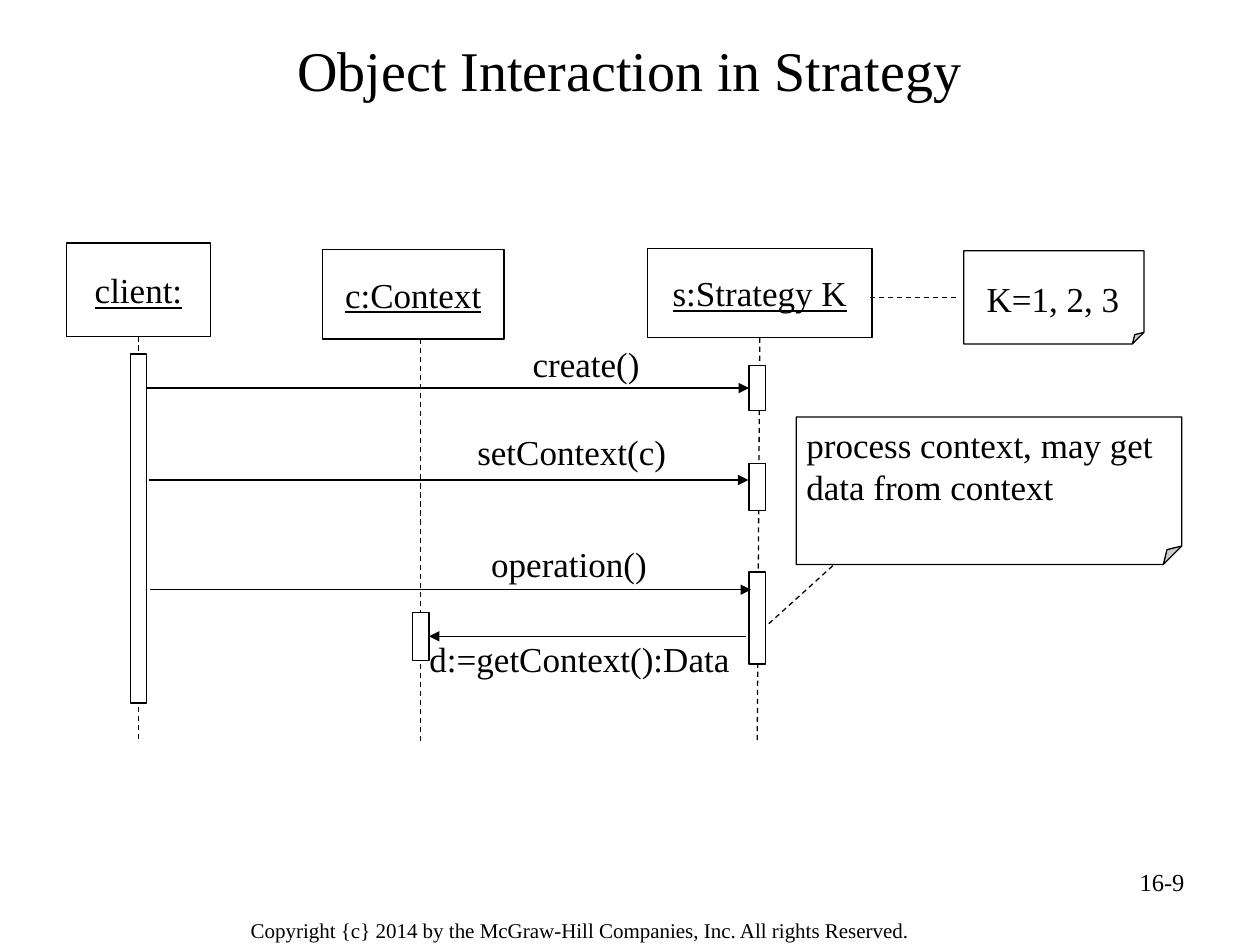
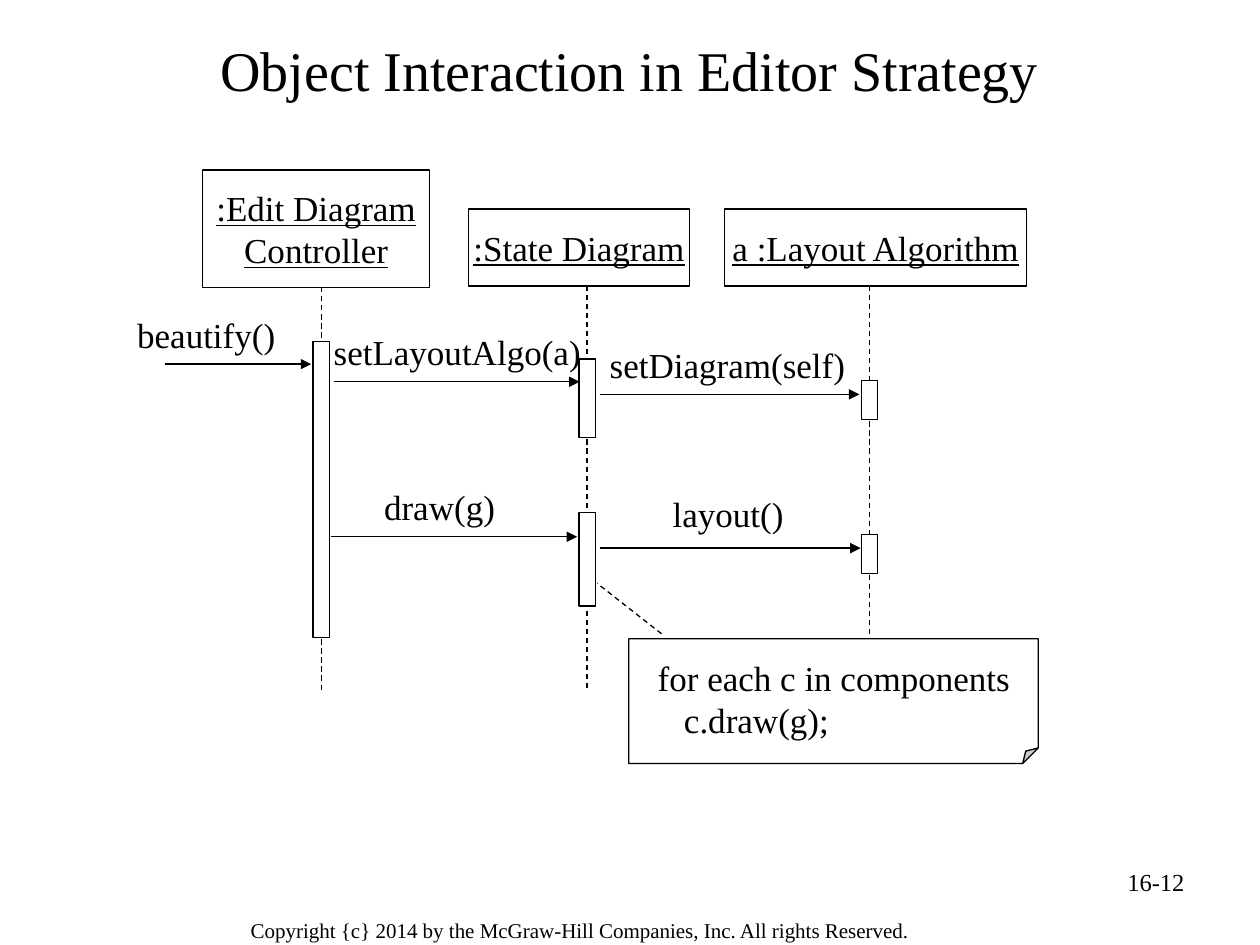
import math
from dataclasses import dataclass

import lxml.etree
import pptx
import pptx.dml.color
import pptx.enum.dml
import pptx.enum.shapes
import pptx.enum.text
import pptx.oxml.ns
import pptx.util

SLIDE_W, SLIDE_H = pptx.util.Inches(10), pptx.util.Inches(7.5)
COLS, ROWS = 100, 75
COLORS = {"ink": "000000", "paper": "FFFFFF"}
FONT = "Times New Roman"
TITLE_PT, BODY_PT, NUMBER_PT, FOOTER_PT = 32, 20, 14, 12
LINE_PT = 0.75
BAR_COLS = 1.3
FOLD = 12500  # folded corner, in 1/100000 of the shorter side
JOIN_REACH = 0.3  # cells within which a line end snaps to a side's middle
COPYRIGHT = "Copyright {c} 2014 by the McGraw-Hill Companies, Inc. All rights Reserved."

ALIGN = pptx.enum.text.PP_ALIGN
ANCHOR = pptx.enum.text.MSO_ANCHOR
SHAPE = pptx.enum.shapes.MSO_SHAPE


@dataclass
class Box:
    """A rectangle in grid columns and rows."""
    col: float
    row: float
    cols: float
    rows: float

    def emu(self) -> tuple[int, int, int, int]:
        return x(self.col), y(self.row), x(self.cols), y(self.rows)


@dataclass
class Lifeline:
    name: str
    head: Box
    col: float
    bars: list[tuple[float, float]]  # top row and height in rows


@dataclass
class Message:
    text: str
    label: Box
    start: float
    end: float
    row: float


@dataclass
class Note:
    text: str
    box: Box
    indent: tuple[float, float]  # columns from the left, rows from the top
    link: tuple[float, float, float, float]


@dataclass
class Diagram:
    title: str
    number: str
    bottom: float
    lifelines: list[Lifeline]
    messages: list[Message]
    notes: list[Note]


def x(cols: float) -> int:
    return round(cols * SLIDE_W / COLS)


def y(rows: float) -> int:
    return round(rows * SLIDE_H / ROWS)


def qn(tag: str) -> str:
    return pptx.oxml.ns.qn(tag)


def color(name: str) -> pptx.dml.color.RGBColor:
    return pptx.dml.color.RGBColor.from_string(COLORS[name])


def write(shape, text: str, size: int = BODY_PT, align=ALIGN.LEFT, anchor=ANCHOR.TOP,
          underline: bool = False, margins: tuple[float, float] | None = None) -> None:
    """Fill a shape with text; margins are the left and top insets in cells."""
    tf = shape.text_frame
    tf.word_wrap = True
    tf.vertical_anchor = anchor
    if margins:
        tf.margin_left, tf.margin_top = x(margins[0]), y(margins[1])
        tf.margin_right = tf.margin_bottom = 0
    tf.text = text
    for p in tf.paragraphs:
        p.alignment = align
        p.font.name = FONT
        p.font.size = pptx.util.Pt(size)
        p.font.underline = underline
        p.font.color.rgb = color("ink")


def add_label(s, box: Box, text: str, **style) -> None:
    write(s.shapes.add_textbox(*box.emu()), text, **style)


def add_outline(s, box: Box, kind=SHAPE.RECTANGLE):
    sp = s.shapes.add_shape(kind, *box.emu())
    sp.shadow.inherit = False
    sp.fill.solid()
    sp.fill.fore_color.rgb = color("paper")
    sp.line.color.rgb = color("ink")
    sp.line.width = pptx.util.Pt(LINE_PT)
    return sp


def side_middles(sp) -> list[tuple[float, float]]:
    """Connection points in the order top, left, bottom, right."""
    mid_x, mid_y = sp.left + sp.width / 2, sp.top + sp.height / 2
    return [(mid_x, sp.top), (sp.left, mid_y),
            (mid_x, sp.top + sp.height), (sp.left + sp.width, mid_y)]


def add_line(s, start: tuple[float, float], end: tuple[float, float],
             rects: list, arrow: bool = False) -> None:
    """Draw an arrow or a dashed line, joined to any rectangle it meets mid-side."""
    ends = [(x(col), y(row)) for col, row in (start, end)]
    line = s.shapes.add_connector(pptx.enum.shapes.MSO_CONNECTOR.STRAIGHT, *ends[0], *ends[1])
    line.line.color.rgb = color("ink")
    line.line.width = pptx.util.Pt(LINE_PT)
    sp_pr = line._element.spPr
    if arrow:
        lxml.etree.SubElement(sp_pr.find(qn("a:ln")), qn("a:tailEnd"), type="triangle")
    else:
        line.line.dash_style = pptx.enum.dml.MSO_LINE.DASH
    lxml.etree.SubElement(sp_pr, qn("a:effectLst"))
    for point, connect in zip(ends, (line.begin_connect, line.end_connect)):
        for sp in rects:
            for site, middle in enumerate(side_middles(sp)):
                if math.dist(point, middle) < x(JOIN_REACH):
                    connect(sp, site)


def add_frame(s, diagram: Diagram) -> None:
    """Title, slide number and copyright line."""
    add_label(s, Box(18.8, 72.2, 61.9, 3.1), COPYRIGHT, size=FOOTER_PT, margins=(1.1, 0.6))
    add_label(s, Box(71.7, 68.3, 23.3, 5.2), diagram.number, size=NUMBER_PT, align=ALIGN.RIGHT)
    add_label(s, Box(5, 1.7, 90, 7.5), diagram.title, size=TITLE_PT,
              align=ALIGN.CENTER, anchor=ANCHOR.MIDDLE)


def add_lifeline(s, lifeline: Lifeline, bottom: float) -> list:
    """Draw head, dashed line and activation bars; return the rectangles."""
    head = add_outline(s, lifeline.head)
    write(head, lifeline.name, align=ALIGN.CENTER, anchor=ANCHOR.MIDDLE,
          underline=True, margins=(0, 0))
    top = lifeline.head.row + lifeline.head.rows
    add_line(s, (lifeline.col, top), (lifeline.col, bottom), [head])
    left = lifeline.col - BAR_COLS / 2
    return [head] + [add_outline(s, Box(left, row, BAR_COLS, rows))
                     for row, rows in lifeline.bars]


def add_note(s, note: Note, rects: list) -> None:
    sp = add_outline(s, note.box, SHAPE.FOLDED_CORNER)
    guides = sp._element.spPr.find(qn("a:prstGeom")).find(qn("a:avLst"))
    lxml.etree.SubElement(guides, qn("a:gd"), name="adj", fmla=f"val {FOLD}")
    write(sp, note.text, margins=note.indent)
    add_line(s, note.link[:2], note.link[2:], rects)


def add_diagram(prs, diagram: Diagram) -> None:
    s = prs.slides.add_slide(prs.slide_layouts[6])
    add_frame(s, diagram)
    rects = []
    for lifeline in diagram.lifelines:
        rects += add_lifeline(s, lifeline, diagram.bottom)
    for note in diagram.notes:
        add_note(s, note, rects)
    for m in diagram.messages:
        add_line(s, (m.start, m.row), (m.end, m.row), rects, arrow=True)
        add_label(s, m.label, m.text)


DIAGRAMS = [
    Diagram(
        "Object Interaction in Strategy", "16-9", 58.8,
        [
            Lifeline("client:", Box(5.3, 19.3, 11.4, 7.4), 11, [(28.1, 27.7)]),
            Lifeline("c:Context", Box(25.6, 19.8, 14.4, 7.1), 33.4, [(48.6, 3.8)]),
            Lifeline("s:Strategy K", Box(51.4, 19.7, 17.8, 7.1), 60.1,
                     [(29, 3.6), (36.8, 3.7), (45.4, 7.3)]),
        ],
        [
            Message("create()", Box(41.3, 26.7, 14.3, 8), 11.7, 59.3, 30.8),
            Message("setContext(c)", Box(36.9, 33.7, 19.7, 8), 11.8, 59.4, 38.1),
            Message("operation()", Box(38, 42.6, 17.8, 8), 11.9, 59.6, 46.8),
            Message("d:=getContext():Data", Box(33.1, 50.1, 27.9, 8), 59.2, 34.2, 50.5),
        ],
        [
            Note("process context, may get\ndata from context", Box(63.2, 33.1, 30.6, 11.7),
                 (0.8, 0.5), (66.1, 44.9, 60.8, 49.7)),
            Note("K=1, 2, 3", Box(76.5, 19.9, 14.3, 7.4), (1.8, 2.1), (75.9, 23.6, 68.8, 23.6)),
        ],
    ),
    Diagram(
        "Object Interaction in Editor Strategy", "16-12", 54.8,
        [
            Lifeline(":Edit Diagram Controller", Box(16.1, 13.5, 18, 9.3), 25.5, [(27.1, 23.5)]),
            Lifeline(":State Diagram", Box(37.2, 16.6, 17.5, 6.1), 46.6,
                     [(28.5, 6.2), (40.7, 7.4)]),
            Lifeline("a :Layout Algorithm", Box(57.5, 16.6, 24, 6.1), 69,
                     [(30.2, 3.1), (42.4, 3.1)]),
        ],
        [
            Message("beautify()", Box(9.9, 24.4, 15.2, 6.8), 13.1, 24.7, 28.9),
            Message("setLayoutAlgo(a)", Box(25.5, 25.7, 23.7, 6.8), 26.5, 46, 30.3),
            Message("setDiagram(self)", Box(47.4, 26.8, 23.8, 6.8), 47.6, 68.2, 31.3),
            Message("draw(g)", Box(29.5, 38, 14.7, 6.8), 26.3, 45.8, 42.6),
            Message("layout()", Box(52.4, 38.6, 13.5, 6.8), 47.6, 68.3, 43.5),
        ],
        [
            Note("for each c in components\n   c.draw(g);", Box(49.9, 50.7, 32.5, 9.9),
                 (2.3, 1.4), (52.5, 50.3, 47.4, 46.3)),
        ],
    ),
]


def main() -> None:
    prs = pptx.Presentation()
    prs.slide_width, prs.slide_height = SLIDE_W, SLIDE_H
    for diagram in DIAGRAMS:
        add_diagram(prs, diagram)
    prs.save("out.pptx")


if __name__ == "__main__":
    main()
